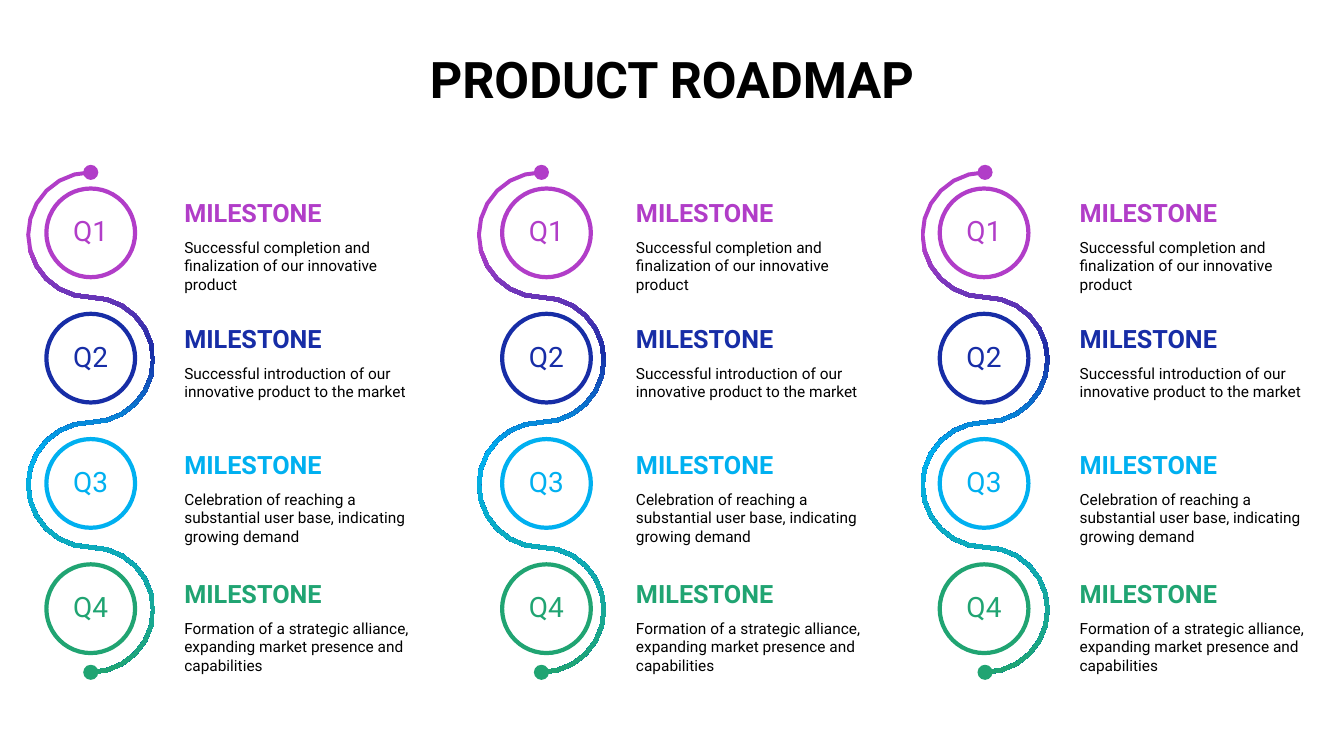
from copy import deepcopy
from math import cos, pi, sin

from pptx import Presentation
from pptx.dml.color import RGBColor
from pptx.enum.shapes import MSO_SHAPE
from pptx.enum.text import MSO_ANCHOR, PP_ALIGN
from pptx.oxml.ns import qn
from pptx.util import Inches, Pt

BLACK = RGBColor(0x00, 0x00, 0x00)
PURPLE = RGBColor(0xB1, 0x3D, 0xC8)
NAVY = RGBColor(0x17, 0x2D, 0xA6)
SKY = RGBColor(0x00, 0xB0, 0xF0)
GREEN = RGBColor(0x20, 0xA4, 0x72)

# Quarter, colour, heading top, text
STEPS = [
    ("Q1", PURPLE, 1.94, "Successful completion and finalization of our innovative product"),
    ("Q2", NAVY, 3.19, "Successful introduction of our innovative product to the market"),
    ("Q3", SKY, 4.44, "Celebration of reaching a substantial user base, indicating growing demand"),
    ("Q4", GREEN, 5.72, "Formation of a strategic alliance, expanding market presence and capabilities"),
]
# Ribbon centre, circle left, text left
LANES = [(0.9, 0.46, 1.73), (5.37, 4.98, 6.21), (9.77, 9.32, 10.61)]
STOPS = [(0.15, PURPLE), (0.36, NAVY), (0.56, SKY), (1.0, GREEN)]

# Ribbon geometry: four half circles in a chain
TOP, RADIUS, HALF, PARTS = 1.71, 0.62, 0.02, 12
DOT, DISC, PITCH = 0.15, 0.88, 1.243

deck = Presentation()
deck.slide_width, deck.slide_height = Inches(13.33), Inches(7.5)
slide = deck.slides.add_slide(deck.slide_layouts[6])
shapes = slide.shapes


def write(shape, text, size, color, bold=False, align=PP_ALIGN.LEFT,
          anchor=MSO_ANCHOR.TOP, space=0.9):
    frame = shape.text_frame
    frame.word_wrap = True
    frame.vertical_anchor = anchor
    para = frame.paragraphs[0]
    para.alignment, para.line_spacing = align, space
    run = para.add_run()
    run.text = text
    font = run.font
    font.name, font.size, font.bold = "Roboto", Pt(size), bold
    font.color.rgb = color


def edge(mid, shift):
    """One side of the ribbon, from top to bottom."""
    points = []
    for k in range(len(STEPS)):
        side = 1 if k % 2 else -1
        reach = RADIUS + side * shift
        hub = TOP + RADIUS * (2 * k + 1)
        for n in range(1 if k else 0, PARTS + 1):
            turn = pi * n / PARTS
            points.append((Inches(mid + side * reach * sin(turn)),
                           Inches(hub - reach * cos(turn))))
    return points


# Title
title = shapes.add_textbox(Inches(0.25), Inches(0.5), Inches(12.83), Inches(1.05))
write(title, "PRODUCT ROADMAP", 36, BLACK, bold=True, align=PP_ALIGN.CENTER)

for mid, left, text_left in LANES:
    # Ribbon
    points = edge(mid, HALF) + edge(mid, -HALF)[::-1]
    pen = shapes.build_freeform(*points[0])
    pen.add_line_segments(points[1:], close=True)
    band = pen.convert_to_shape()
    band.shadow.inherit = False
    band.line.fill.background()
    band.fill.gradient()
    band.fill.gradient_angle = 270
    stops = band._element.spPr.find(qn("a:gradFill")).find(qn("a:gsLst"))
    for _ in range(len(STOPS) - len(stops)):
        stops.append(deepcopy(stops[0]))
    for stop, (place, color) in zip(band.fill.gradient_stops, STOPS):
        stop.position, stop.color.rgb = place, color

    # End dots
    for y, color in ((TOP, PURPLE), (TOP + 8 * RADIUS, GREEN)):
        dot = shapes.add_shape(MSO_SHAPE.OVAL, Inches(mid - DOT / 2),
                               Inches(y - DOT / 2), Inches(DOT), Inches(DOT))
        dot.shadow.inherit = False
        dot.fill.solid()
        dot.fill.fore_color.rgb = color
        dot.line.fill.background()

    # Quarters with heading and text
    for i, (name, color, top, text) in enumerate(STEPS):
        disc = shapes.add_shape(MSO_SHAPE.OVAL, Inches(left), Inches(1.87 + i * PITCH),
                                Inches(DISC), Inches(DISC))
        disc.shadow.inherit = False
        disc.fill.background()
        disc.line.color.rgb, disc.line.width = color, Pt(3)
        write(disc, name, 20, color, align=PP_ALIGN.CENTER, anchor=MSO_ANCHOR.MIDDLE)
        head = shapes.add_textbox(Inches(text_left), Inches(top), Inches(2.5), Inches(0.33))
        write(head, "MILESTONE", 18, color, bold=True)
        body = shapes.add_textbox(Inches(text_left), Inches(top + 0.37), Inches(2.5), Inches(0.77))
        write(body, text, 11, BLACK, space=1.0)

deck.save("out.pptx")
